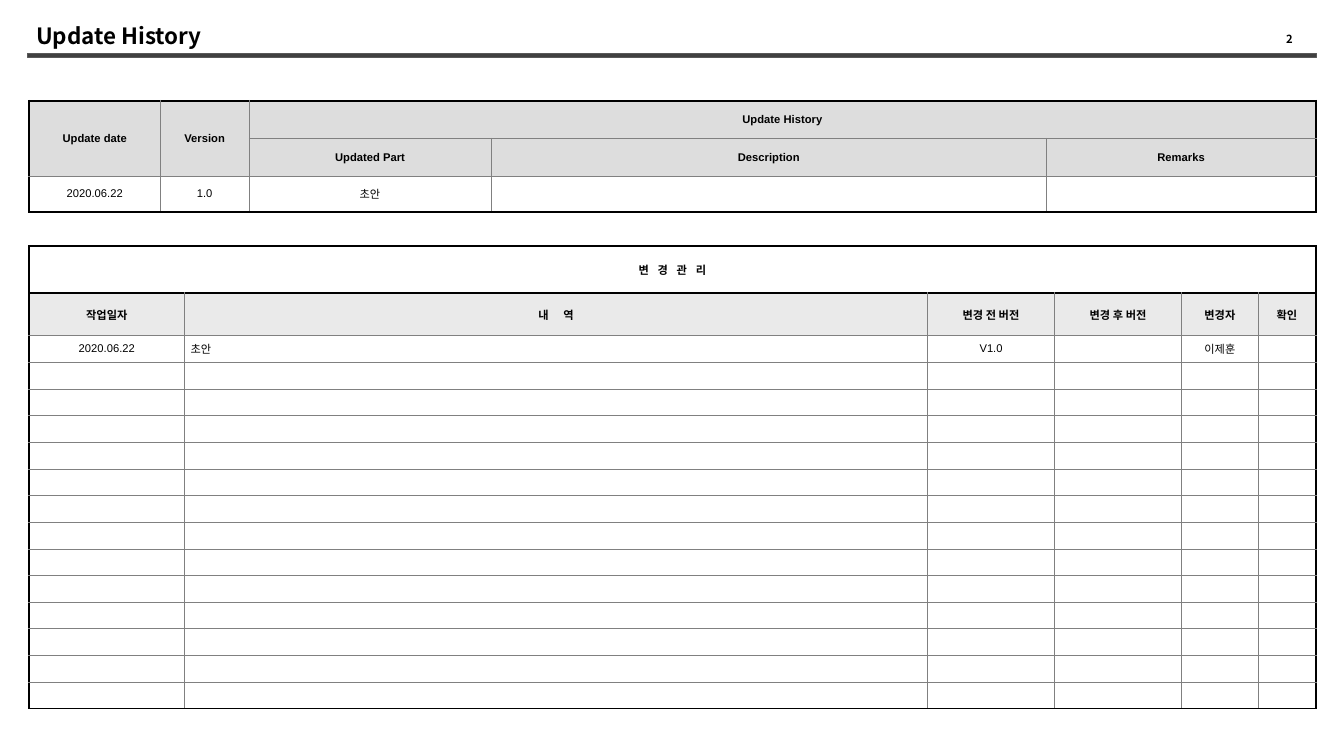
from dataclasses import dataclass

from lxml.etree import SubElement
from pptx import Presentation
from pptx.dml.color import RGBColor as RGB
from pptx.enum.shapes import MSO_SHAPE as Shape
from pptx.enum.text import MSO_ANCHOR as Anchor, PP_ALIGN as Align
from pptx.oxml.ns import qn
from pptx.util import Inches, Pt


@dataclass(frozen=True)
class Theme:
    ink: str = "000000"
    bar: str = "404040"
    rim: str = "595959"
    grid: str = "808080"
    head: str = "DDDDDD"
    soft: str = "EAEAEA"
    title: int = 16
    body: int = 8
    thick: float = 1.5
    thin: float = 0.25
    sans: str = "Arial"
    hangul: str = "Noto Sans CJK KR"


THEME = Theme()
LEFT = 0.29
# Extra letter spacing in points for the widely set headings.
TRACK = {"변 경 관 리": 2.2, "내 역": 4.4}


def style(para, size, bold, face, align):
    para.alignment = align
    for run in para.runs:
        font = run.font
        font.size, font.bold, font.name = Pt(size), bold, face
        font.color.rgb = RGB.from_string(THEME.ink)
        props = run._r.get_or_add_rPr()
        SubElement(props, qn("a:ea")).set("typeface", THEME.hangul)
        if run.text in TRACK:
            props.set("spc", str(round(TRACK[run.text] * 100)))


def pad(item, x, y):
    item.margin_left = item.margin_right = Inches(x)
    item.margin_top = item.margin_bottom = Inches(y)


def add_text(slide, text, box, size, align, inset):
    frame = slide.shapes.add_textbox(*map(Inches, box)).text_frame
    frame.word_wrap = True
    frame.vertical_anchor = Anchor.MIDDLE
    pad(frame, *inset)
    frame.text = text
    style(frame.paragraphs[0], size, True, THEME.hangul, align)


def add_bar(slide, box):
    bar = slide.shapes.add_shape(Shape.RECTANGLE, *map(Inches, box))
    bar.shadow.inherit = False
    bar.fill.solid()
    bar.fill.fore_color.rgb = RGB.from_string(THEME.bar)
    bar.line.color.rgb = RGB.from_string(THEME.rim)
    bar.line.width = Pt(0.5)


def add_edges(cell, heavy):
    """Draw the four borders; heavy tells which of L, R, T, B are thick."""
    props = cell._tc.get_or_add_tcPr()
    for spot, (side, strong) in enumerate(zip("LRTB", heavy)):
        width = THEME.thick if strong else THEME.thin
        line = SubElement(props, qn(f"a:ln{side}"), w=str(Pt(width)))
        fill = SubElement(line, qn("a:solidFill"))
        tone = THEME.ink if strong else THEME.grid
        SubElement(fill, qn("a:srgbClr"), val=tone)
        props.insert(spot, line)


def fill_cell(cell, text, fill, bold, align, inset):
    if fill:
        cell.fill.solid()
        cell.fill.fore_color.rgb = RGB.from_string(fill)
    else:
        cell.fill.background()
    cell.vertical_anchor = Anchor.MIDDLE
    pad(cell, *inset)
    para = cell.text_frame.paragraphs[0]
    if text:
        para.text = text
        para.space_before = para.space_after = Pt(THEME.body * 0.1)
        style(para, THEME.body, bold, THEME.sans, align)
    else:
        end = SubElement(para._p, qn("a:endParaRPr"))
        end.set("sz", str(THEME.body * 100))


def add_grid(slide, top, cols, rows, texts, fills, merges, rules, inset, lefts=()):
    """Add a table: fills lists header rows, rules the thick row lines,
    lefts the cells set flush left."""
    shape = slide.shapes.add_table(
        len(rows), len(cols), Inches(LEFT), Inches(top),
        Inches(sum(cols)), Inches(sum(rows)))
    table = shape.table
    table.first_row = table.horz_banding = False
    for col, width in zip(table.columns, cols):
        col.width = Inches(width)
    for row, height in zip(table.rows, rows):
        row.height = Inches(height)
    for start, stop in merges:
        table.cell(*start).merge(table.cell(*stop))
    for r in range(len(rows)):
        for c in range(len(cols)):
            cell = table.cell(r, c)
            if cell.is_spanned:
                continue
            head = r < len(fills)
            align = Align.LEFT if (r, c) in lefts else Align.CENTER
            fill_cell(cell, texts.get((r, c)), fills[r] if head else None,
                      head, align, inset)
            wide = cell.span_width if cell.is_merge_origin else 1
            high = cell.span_height if cell.is_merge_origin else 1
            add_edges(cell, (c == 0, c + wide == len(cols),
                             r in rules, r + high in rules))


def place(*lines):
    """Map (row, column) to text, leaving empty cells out."""
    return {(r, c): text for r, line in enumerate(lines)
            for c, text in enumerate(line) if text}


def add_updates(slide):
    texts = place(
        ("Update date", "Version", "Update History"),
        ("", "", "Updated Part", "Description", "Remarks"),
        ("2020.06.22", "1.0", "초안"))
    merges = [((0, 0), (1, 0)), ((0, 1), (1, 1)), ((0, 2), (0, 4))]
    add_grid(slide, 1, (1.3, 0.88, 2.4, 5.51, 2.67), (0.37, 0.38, 0.35),
             texts, [THEME.head] * 2, merges, (0, 3), (0.08, 0.05))


def add_changes(slide):
    texts = place(
        ("변 경 관 리",),
        ("작업일자", "내 역", "변경 전 버전", "변경 후 버전", "변경자", "확인"),
        ("2020.06.22", "초안", "V1.0", "", "이제훈"))
    count = 14
    rows = [0.47, 0.42] + [3.7 / count] * count
    add_grid(slide, 2.44, (1.54, 7.37, 1.26, 1.26, 0.76, 0.57), rows,
             texts, [None, THEME.soft], [((0, 0), (0, 5))],
             (0, 1, len(rows)), (0.06, 0.03), [(2, 1)])


def main():
    deck = Presentation()
    deck.slide_width, deck.slide_height = Inches(13.33), Inches(7.5)
    slide = deck.slides.add_slide(deck.slide_layouts[6])
    add_bar(slide, (0.27, 0.53, 12.79, 0.04))
    add_text(slide, "2", (12.54, 0.29, 0.5, 0.19), THEME.body,
             Align.CENTER, (0.06, 0.03))
    add_text(slide, "Update History", (0.27, 0.17, 8.63, 0.37), THEME.title,
             Align.LEFT, (0.09, 0.04))
    add_updates(slide)
    add_changes(slide)
    deck.save("out.pptx")


if __name__ == "__main__":
    main()
